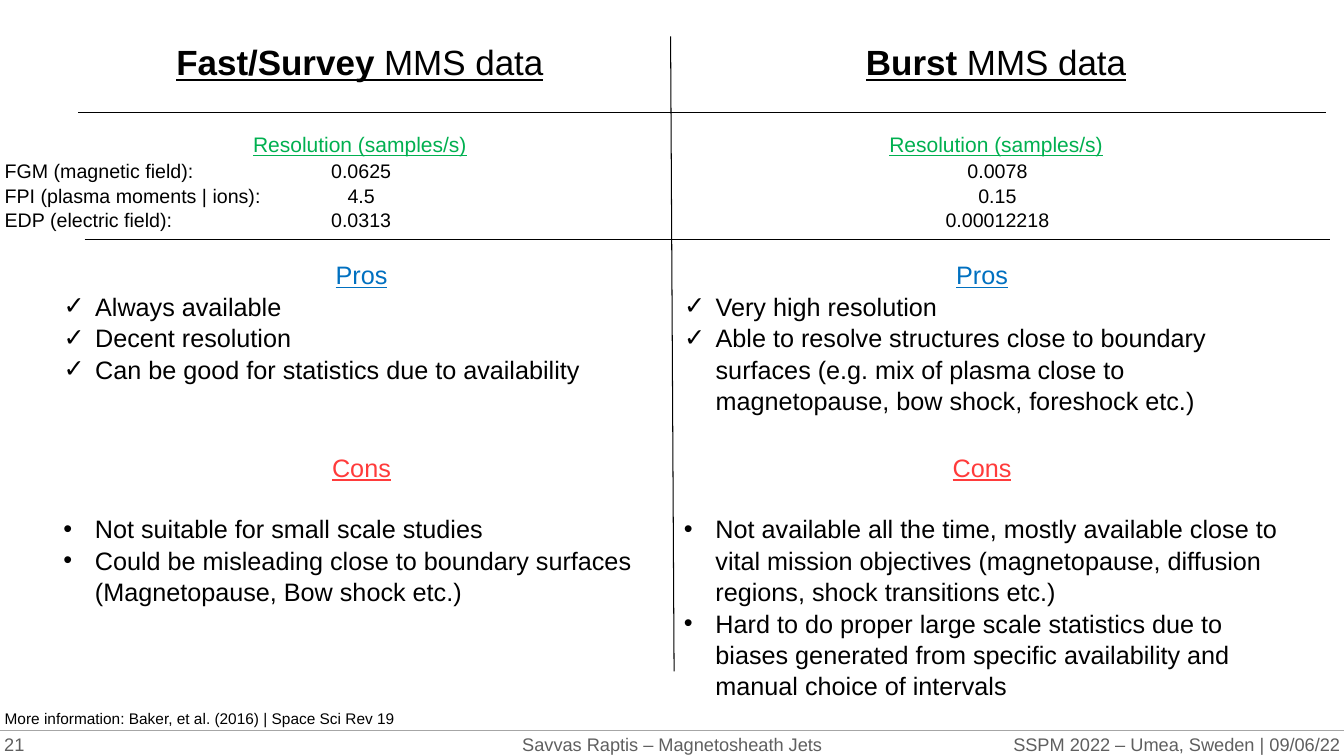
from lxml import etree
from pptx import Presentation
from pptx.dml.color import RGBColor
from pptx.enum.shapes import MSO_CONNECTOR
from pptx.enum.text import MSO_ANCHOR, MSO_AUTO_SIZE, PP_ALIGN
from pptx.oxml.ns import qn
from pptx.util import Pt

FONT = "Arial"
BLACK, GREY, RULE_GREY = "000000", "5F5F5F", "A6A6A6"
BLUE, RED, GREEN = "0070C0", "FF3B3B", "00B050"
SLIDE_W, SLIDE_H = 960, 540
LEFT, CENTER, RIGHT = PP_ALIGN.LEFT, PP_ALIGN.CENTER, PP_ALIGN.RIGHT
BULLET_INDENT = 22.5
LIST_W = 440
LINE_SPACING = 1.04
COMPARISON_LAYOUT = 4

FAST = dict(
    name="Fast/Survey", samples=["0.0625", "4.5", "0.0313"],
    pros=["Always available", "Decent resolution",
          "Can be good for statistics due to availability"],
    cons=["Not suitable for small scale studies",
          "Could be misleading close to boundary surfaces (Magnetopause, Bow shock etc.)"])
BURST = dict(
    name="Burst", samples=["0.0078", "0.15", "0.00012218"],
    pros=["Very high resolution",
          "Able to resolve structures close to boundary surfaces (e.g. mix of plasma "
          "close to magnetopause, bow shock, foreshock etc.)"],
    cons=["Not available all the time, mostly available close to vital mission objectives "
          "(magnetopause, diffusion regions, shock transitions etc.)",
          "Hard to do proper large scale statistics due to biases generated from specific "
          "availability and manual choice of intervals"])
INSTRUMENTS = ["FGM (magnetic field):", "FPI (plasma moments | ions):",
               "EDP (electric field):"]


def color(hex_string):
    return RGBColor.from_string(hex_string)


def place(shape, left, top, width, height):
    shape.left, shape.top = Pt(left), Pt(top)
    shape.width, shape.height = Pt(width), Pt(height)
    frame = shape.text_frame
    frame.word_wrap = True
    frame.auto_size = MSO_AUTO_SIZE.NONE
    frame.vertical_anchor = MSO_ANCHOR.TOP
    return frame


def text_box(slide, *box):
    return place(slide.shapes.add_textbox(0, 0, 0, 0), *box)


def add_paragraph(frame, align=LEFT, bullet=None, space_after=0):
    """Return the empty first paragraph, or a new one, with its format set."""
    first = frame.paragraphs[0]
    paragraph = frame.add_paragraph() if first.runs else first
    paragraph.alignment = align
    paragraph.line_spacing = LINE_SPACING
    paragraph.space_before, paragraph.space_after = Pt(0), Pt(space_after)
    properties = paragraph._p.get_or_add_pPr()
    indent = BULLET_INDENT if bullet else 0
    properties.set("marL", str(Pt(indent)))
    properties.set("indent", str(Pt(-indent)))
    if bullet:
        etree.SubElement(properties, qn("a:buFont")).set("typeface", FONT)
        etree.SubElement(properties, qn("a:buChar")).set("char", bullet)
    else:
        etree.SubElement(properties, qn("a:buNone"))
    return paragraph


def add_run(paragraph, text, size, ink=BLACK, bold=False, underline=False):
    run = paragraph.add_run()
    run.text = text
    font = run.font
    font.name, font.size, font.bold, font.underline = FONT, Pt(size), bold, underline
    font.color.rgb = color(ink)


def add_rule(slide, x1, y1, x2, y2, ink=BLACK):
    rule = slide.shapes.add_connector(
        MSO_CONNECTOR.STRAIGHT, Pt(x1), Pt(y1), Pt(x2), Pt(y2))
    rule.line.color.rgb = color(ink)
    rule.line.width = Pt(0.75)
    etree.SubElement(rule._element.spPr, qn("a:effectLst"))


def fill_lines(frame, lines, align=LEFT):
    for line in lines:
        add_run(add_paragraph(frame, align), line, 14)


def fill_list(frame, label, ink, bullet, items, gap=0):
    add_run(add_paragraph(frame, CENTER, space_after=gap), label, 18, ink, underline=True)
    for item in items:
        add_run(add_paragraph(frame, bullet=bullet), item, 18)


def add_mode_column(slide, mode, heading_holder, pros_holder, list_left, center):
    """Place one data mode: heading, resolutions, pros and cons."""
    heading = add_paragraph(place(heading_holder, center - 150, 24.5, 300, 37.5), CENTER)
    add_run(heading, mode["name"], 25, bold=True, underline=True)
    add_run(heading, " MMS data", 25, underline=True)

    resolution = add_paragraph(text_box(slide, center - 85, 90, 170, 25), CENTER)
    add_run(resolution, "Resolution (samples/s)", 15, GREEN, underline=True)
    samples = text_box(slide, center - 81, 109.5, 164, 58)
    fill_lines(samples, mode["samples"], CENTER)

    pros = place(pros_holder, list_left, 181, LIST_W, 138)
    fill_list(pros, "Pros", BLUE, "✓", mode["pros"])
    cons = text_box(slide, list_left, 318.5, LIST_W, 182)
    fill_list(cons, "Cons", RED, "•", mode["cons"], gap=21.5)


def add_footer(slide, top):
    add_rule(slide, 0, top, SLIDE_W, top, RULE_GREY)
    margin, width = 3, 302
    parts = [("21", margin, width, LEFT),
             ("Savvas Raptis – Magnetosheath Jets", 0, SLIDE_W, CENTER),
             ("SSPM 2022 – Umea, Sweden | 09/06/22", SLIDE_W - margin - width, width, RIGHT)]
    for text, left, part_width, align in parts:
        frame = text_box(slide, left, top, part_width, SLIDE_H - top)
        frame.margin_left = frame.margin_right = frame.margin_top = frame.margin_bottom = 0
        frame.vertical_anchor = MSO_ANCHOR.MIDDLE
        add_run(add_paragraph(frame, align), text, 13, GREY)


def main():
    deck = Presentation()
    deck.slide_width, deck.slide_height = Pt(SLIDE_W), Pt(SLIDE_H)
    slide = deck.slides.add_slide(deck.slide_layouts[COMPARISON_LAYOUT])
    title = slide.shapes.title._element
    title.getparent().remove(title)
    holders = {holder.placeholder_format.idx: holder for holder in slide.placeholders}

    add_rule(slide, 479, 26, 481.5, 479.5)
    add_rule(slide, 56, 80.5, 947.5, 80.5)
    add_rule(slide, 60.5, 171.25, 950, 171.25)
    add_mode_column(slide, FAST, holders[1], holders[2], list_left=38.25, center=257)
    add_mode_column(slide, BURST, holders[3], holders[4], list_left=481.5, center=711.5)
    fill_lines(text_box(slide, -3.75, 109.5, 202, 58), INSTRUMENTS)
    reference = add_paragraph(text_box(slide, -3.75, 502.5, 327, 21))
    add_run(reference, "More information: Baker, et al. (2016) | Space Sci Rev 19", 11)
    add_footer(slide, 522)
    deck.save("out.pptx")


if __name__ == "__main__":
    main()
